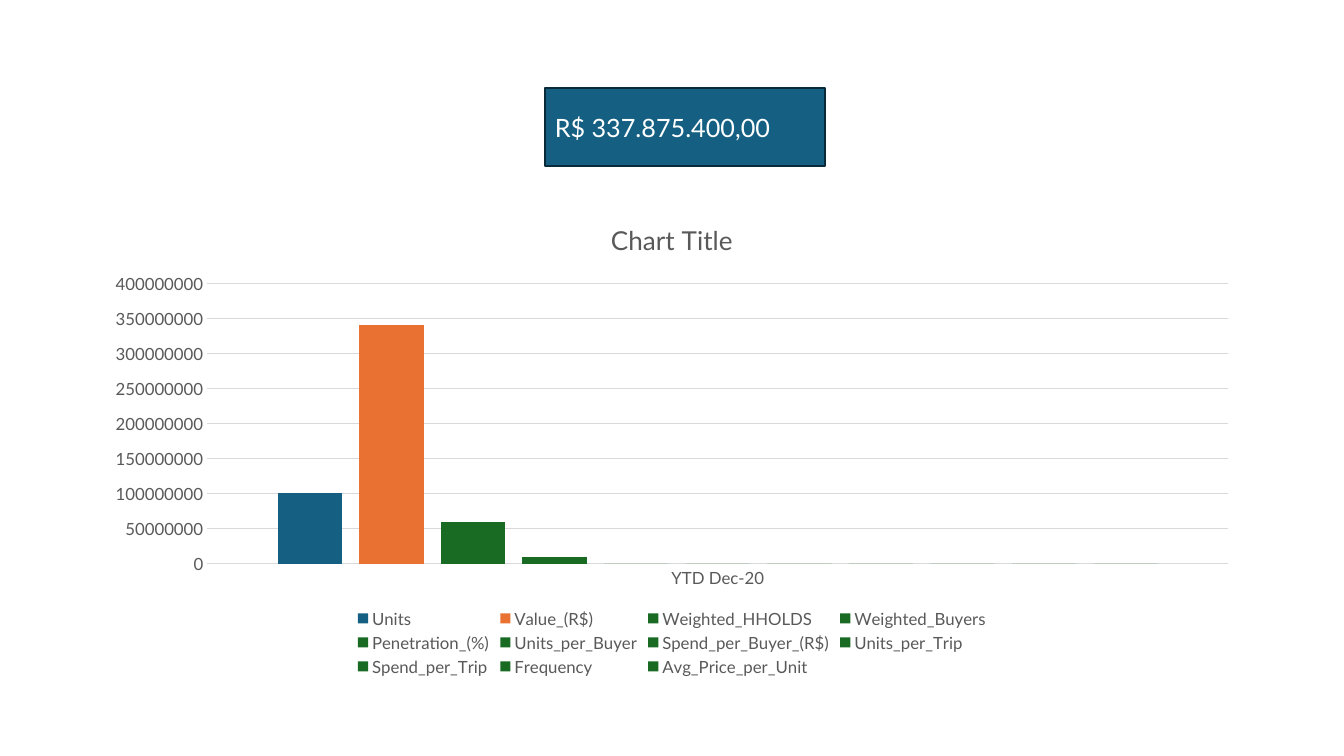
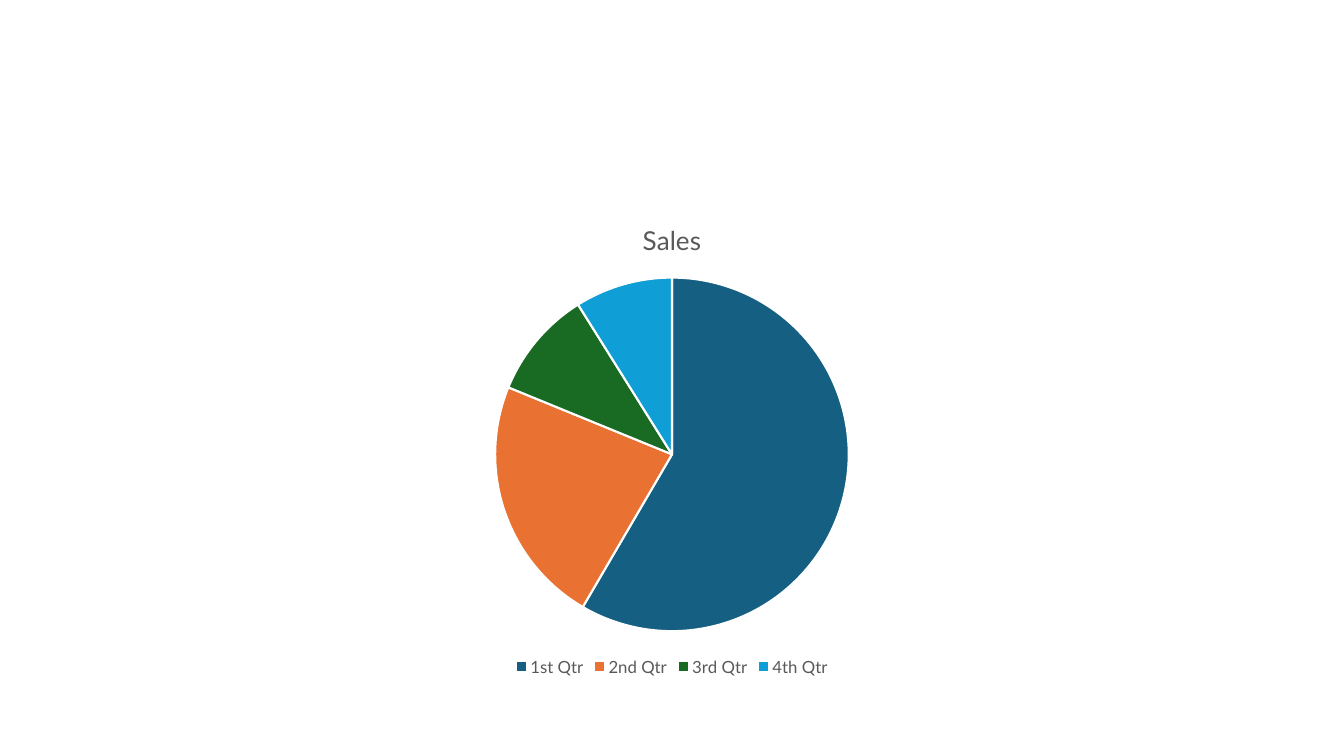
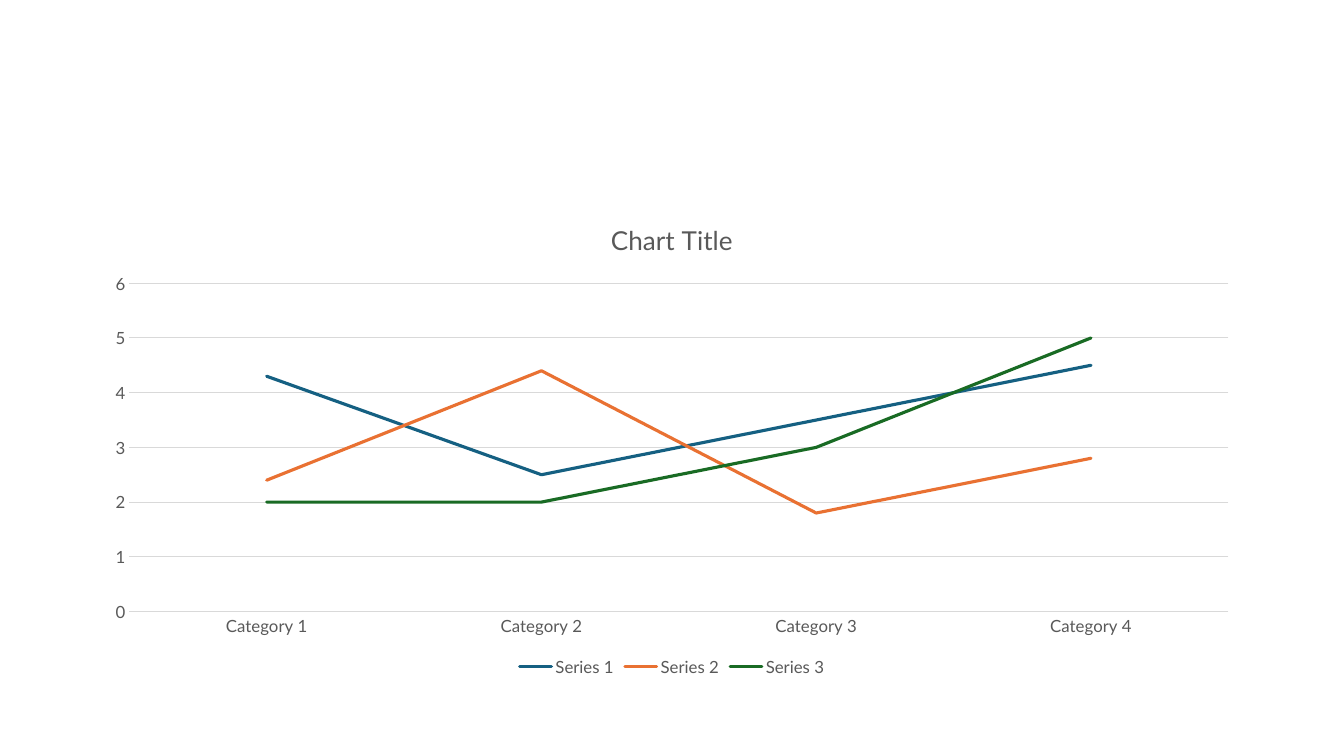
"""Build three chart slides: yearly totals, quarterly sales and category trends."""
from pptx import Presentation
from pptx import util as u
from pptx.chart import data as chart_data
from pptx.dml import color as dml
from pptx.enum import chart as kinds, shapes, text

PX = 9525
SLIDE_SIZE = (1280, 720)
CHART_BOX = (88, 192, 1104, 456)
TOTAL_BOX = (519, 84, 267, 74)
TOTAL = "R$ 337.875.400,00"

FONT = "Lato"
BLUE, ORANGE, GREEN, SKY = "156082", "E97132", "196B24", "0F9ED5"
NAVY, GRAY, RULE, WHITE = "092A39", "595959", "D9D9D9", "FFFFFF"

CHARTS = [
    {
        "kind": kinds.XL_CHART_TYPE.COLUMN_CLUSTERED,
        "title": "Chart Title",
        "categories": ["YTD Dec-20"],
        "series": {
            "Units": [100000000],
            "Value_(R$)": [340000000],
            "Weighted_HHOLDS": [60000000],
            "Weighted_Buyers": [10000000],
            "Penetration_(%)": [0],
            "Units_per_Buyer": [0],
            "Spend_per_Buyer_(R$)": [0],
            "Units_per_Trip": [0],
            "Spend_per_Trip": [0],
            "Frequency": [0],
            "Avg_Price_per_Unit": [0],
        },
        "colors": [BLUE, ORANGE] + [GREEN] * 9,
        "plot": {"gap_width": 219, "overlap": -27},
    },
    {
        "kind": kinds.XL_CHART_TYPE.PIE,
        "title": "Sales",
        "categories": ["1st Qtr", "2nd Qtr", "3rd Qtr", "4th Qtr"],
        "series": {"Sales": [59, 23, 10, 9]},
        "colors": [BLUE, ORANGE, GREEN, SKY],
        "plot": {"vary_by_categories": True},
    },
    {
        "kind": kinds.XL_CHART_TYPE.LINE,
        "title": "Chart Title",
        "categories": ["Category 1", "Category 2", "Category 3", "Category 4"],
        "series": {
            "Series 1": [4.3, 2.5, 3.5, 4.5],
            "Series 2": [2.4, 4.4, 1.8, 2.8],
            "Series 3": [2, 2, 3, 5],
        },
        "colors": [BLUE, ORANGE, GREEN],
        "plot": {},
    },
]


def box(lengths):
    return [length * PX for length in lengths]


def rgb(value):
    return dml.RGBColor.from_string(value)


def set_all(target, values):
    for name, value in values.items():
        setattr(target, name, value)


def set_font(font, size, color):
    set_all(font, {"name": FONT, "size": u.Pt(size), "bold": False})
    font.color.rgb = rgb(color)


def set_fill(target, color):
    target.fill.solid()
    target.fill.fore_color.rgb = rgb(color)


def set_line(line, color, width):
    line.color.rgb = rgb(color)
    line.width = u.Pt(width)


def style_axes(chart):
    for axis in (chart.category_axis, chart.value_axis):
        set_all(axis, {"major_tick_mark": kinds.XL_TICK_MARK.NONE,
                       "minor_tick_mark": kinds.XL_TICK_MARK.NONE})
        set_font(axis.tick_labels.font, 12, GRAY)
    set_line(chart.category_axis.format.line, RULE, 0.75)
    chart.value_axis.format.line.fill.background()
    set_line(chart.value_axis.major_gridlines.format.line, RULE, 0.75)


def color_series(chart, kind, colors):
    series = list(chart.plots[0].series)
    if kind == kinds.XL_CHART_TYPE.PIE:
        for index, color in enumerate(colors):
            point = series[0].points[index]
            set_fill(point.format, color)
            set_line(point.format.line, WHITE, 1.5)
        return
    for item, color in zip(series, colors):
        if kind == kinds.XL_CHART_TYPE.LINE:
            item.smooth = False
            set_line(item.format.line, color, 2.25)
        else:
            item.invert_if_negative = False
            set_fill(item.format, color)
    for outline in chart.element.xpath(".//c:ser/c:spPr/a:ln"):
        outline.set("cap", "rnd")


def add_chart(slide, content):
    data = chart_data.CategoryChartData()
    data.categories = content["categories"]
    for name, values in content["series"].items():
        data.add_series(name, values)
    kind = content["kind"]
    chart = slide.shapes.add_chart(kind, *box(CHART_BOX), data).chart
    set_font(chart.font, 10, "000000")
    set_all(chart, {"has_title": True, "has_legend": True})
    title = chart.chart_title.text_frame
    title.text = content["title"]
    set_font(title.paragraphs[0].runs[0].font, 18.6, GRAY)
    set_all(chart.legend, {"position": kinds.XL_LEGEND_POSITION.BOTTOM,
                           "include_in_layout": False})
    set_font(chart.legend.font, 12, GRAY)
    set_all(chart.plots[0], {"vary_by_categories": False, **content["plot"]})
    if kind != kinds.XL_CHART_TYPE.PIE:
        style_axes(chart)
    color_series(chart, kind, content["colors"])


def add_total(slide):
    shape = slide.shapes.add_shape(shapes.MSO_SHAPE.RECTANGLE, *box(TOTAL_BOX))
    shape.shadow.inherit = False
    set_fill(shape, BLUE)
    set_line(shape.line, NAVY, 1.5)
    frame = shape.text_frame
    set_all(frame, {"text": TOTAL, "word_wrap": True,
                    "vertical_anchor": text.MSO_ANCHOR.MIDDLE})
    paragraph = frame.paragraphs[0]
    paragraph.alignment = text.PP_ALIGN.LEFT
    set_font(paragraph.runs[0].font, 18, WHITE)


def main():
    presentation = Presentation()
    width, height = box(SLIDE_SIZE)
    set_all(presentation, {"slide_width": width, "slide_height": height})
    blank = presentation.slide_layouts[6]
    set_fill(presentation.slide_master.background, WHITE)
    for content in CHARTS:
        add_chart(presentation.slides.add_slide(blank), content)
    add_total(presentation.slides[0])
    presentation.save("out.pptx")


if __name__ == "__main__":
    main()
